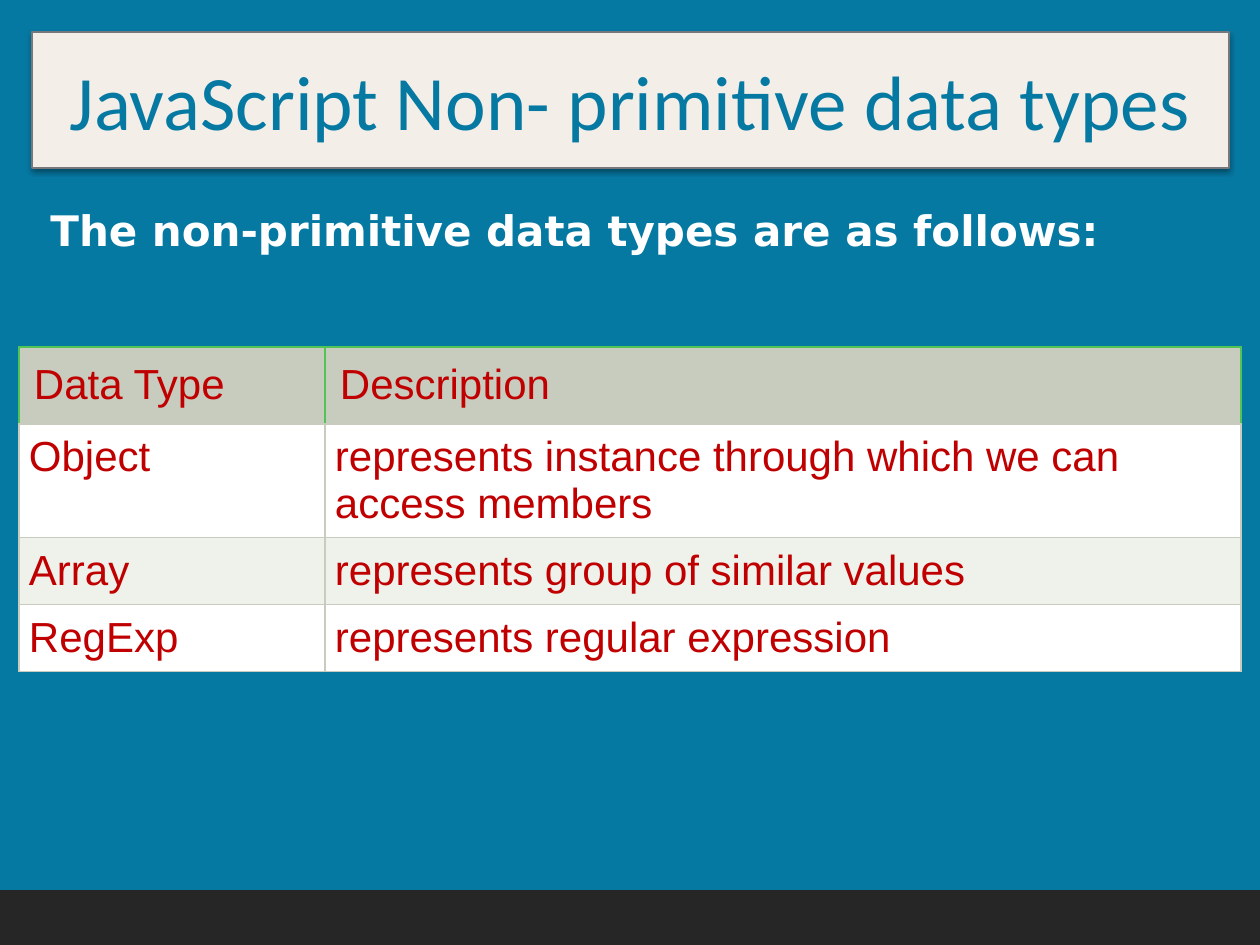
import pptx
import pptx.dml.color
import pptx.enum.shapes
import pptx.enum.text
import pptx.oxml
import pptx.oxml.ns
import pptx.util
from lxml import etree

TITLE = "JavaScript Non- primitive data types"
INTRO = "The non-primitive data types are as follows:"
DATA_TYPES = [
    ("Data Type", "Description"),
    ("Object", "represents instance through which we can access members"),
    ("Array", "represents group of similar values"),
    ("RegExp", "represents regular expression"),
]
COLORS = {
    "background": "0679A3",
    "panel": "F3EFE8",
    "panel_line": "76787B",
    "footer": "262626",
    "header": "C7CCBE",
    "header_line": "50C455",
    "band": "EFF1EB",
    "white": "FFFFFF",
    "table_text": "C00000",
}
SLIDE_SIZE = (1260, 945)
TITLE_BOX = (32, 32, 1197, 136)
FOOTER_BOX = (0, 892, 1260, 53)
INTRO_BOX = (38, 198, 1080, 63)
TABLE_AT = (19, 347)
COLUMN_WIDTHS = (306, 916)
ROW_HEIGHTS = (77, 107, 66, 66)
HEADER_INSET, BODY_INSET = 15, 10
PX_PER_INCH = 126


def px(length):
    return pptx.util.Emu(round(length * 914400 / PX_PER_INCH))


def rgb(name):
    return pptx.dml.color.RGBColor.from_string(COLORS[name])


def paint(fill, color):
    fill.solid()
    fill.fore_color.rgb = rgb(color)


def set_font(paragraph, name, size, color, bold=False):
    font = paragraph.font
    font.name, font.size, font.bold = name, pptx.util.Pt(size), bold
    font.color.rgb = rgb(color)


def add_panel(slide, box, fill, line, line_width):
    panel = slide.shapes.add_shape(
        pptx.enum.shapes.MSO_SHAPE.RECTANGLE, *map(px, box))
    panel.shadow.inherit = False
    paint(panel.fill, fill)
    panel.line.color.rgb = rgb(line)
    panel.line.width = pptx.util.Pt(line_width)
    return panel


def add_drop_shadow(shape):
    effects = shape._element.spPr.find(pptx.oxml.ns.qn("a:effectLst"))
    effects.append(pptx.oxml.parse_xml(
        f'<a:outerShdw {pptx.oxml.ns.nsdecls("a")} blurRad="39370" '
        'dist="20320" dir="5400000" rotWithShape="0">'
        '<a:srgbClr val="000000"><a:alpha val="38000"/></a:srgbClr>'
        '</a:outerShdw>'))


def add_border(cell, side, color):
    qn = pptx.oxml.ns.qn
    line = etree.SubElement(cell._tc.get_or_add_tcPr(), qn(f"a:ln{side}"),
                            w=str(pptx.util.Pt(0.75)))
    solid = etree.SubElement(line, qn("a:solidFill"))
    etree.SubElement(solid, qn("a:srgbClr"), val=COLORS[color])


def style_cell(cell, row):
    is_header = row == 0
    inset = px(HEADER_INSET if is_header else BODY_INSET)
    cell.margin_left = cell.margin_right = inset
    cell.margin_top = cell.margin_bottom = inset
    for side in "LRTB":
        green = is_header and side != "B"
        add_border(cell, side, "header_line" if green else "header")
    # Borders come before the fill in the cell properties.
    paint(cell.fill, "header" if is_header else "white" if row % 2 else "band")
    set_font(cell.text_frame.paragraphs[0], "Arial", 24, "table_text")


def add_title(slide):
    panel = add_panel(slide, TITLE_BOX, "panel", "panel_line", 0.75)
    add_drop_shadow(panel)
    frame = panel.text_frame
    frame.word_wrap = True
    frame.vertical_anchor = pptx.enum.text.MSO_ANCHOR.MIDDLE
    frame.text = TITLE
    frame.paragraphs[0].alignment = pptx.enum.text.PP_ALIGN.CENTER
    set_font(frame.paragraphs[0], "Calibri", 44, "background")


def add_data_types(slide):
    table = slide.shapes.add_table(
        len(DATA_TYPES), len(COLUMN_WIDTHS), *map(px, TABLE_AT),
        px(sum(COLUMN_WIDTHS)), px(sum(ROW_HEIGHTS))).table
    for column, width in zip(table.columns, COLUMN_WIDTHS):
        column.width = px(width)
    for r, (height, texts) in enumerate(zip(ROW_HEIGHTS, DATA_TYPES)):
        table.rows[r].height = px(height)
        for c, text in enumerate(texts):
            cell = table.cell(r, c)
            cell.text = text
            style_cell(cell, r)


def add_intro(slide):
    frame = slide.shapes.add_textbox(*map(px, INTRO_BOX)).text_frame
    frame.word_wrap = False
    frame.auto_size = pptx.enum.text.MSO_AUTO_SIZE.SHAPE_TO_FIT_TEXT
    frame.vertical_anchor = pptx.enum.text.MSO_ANCHOR.MIDDLE
    frame.text = INTRO
    set_font(frame.paragraphs[0], "DejaVu Sans", 24, "white", bold=True)


def main():
    deck = pptx.Presentation()
    deck.slide_width, deck.slide_height = map(px, SLIDE_SIZE)
    slide = deck.slides.add_slide(deck.slide_layouts[6])
    paint(slide.background.fill, "background")
    add_title(slide)
    add_panel(slide, FOOTER_BOX, "footer", "footer", 2)
    add_data_types(slide)
    add_intro(slide)
    deck.save("out.pptx")


if __name__ == "__main__":
    main()
